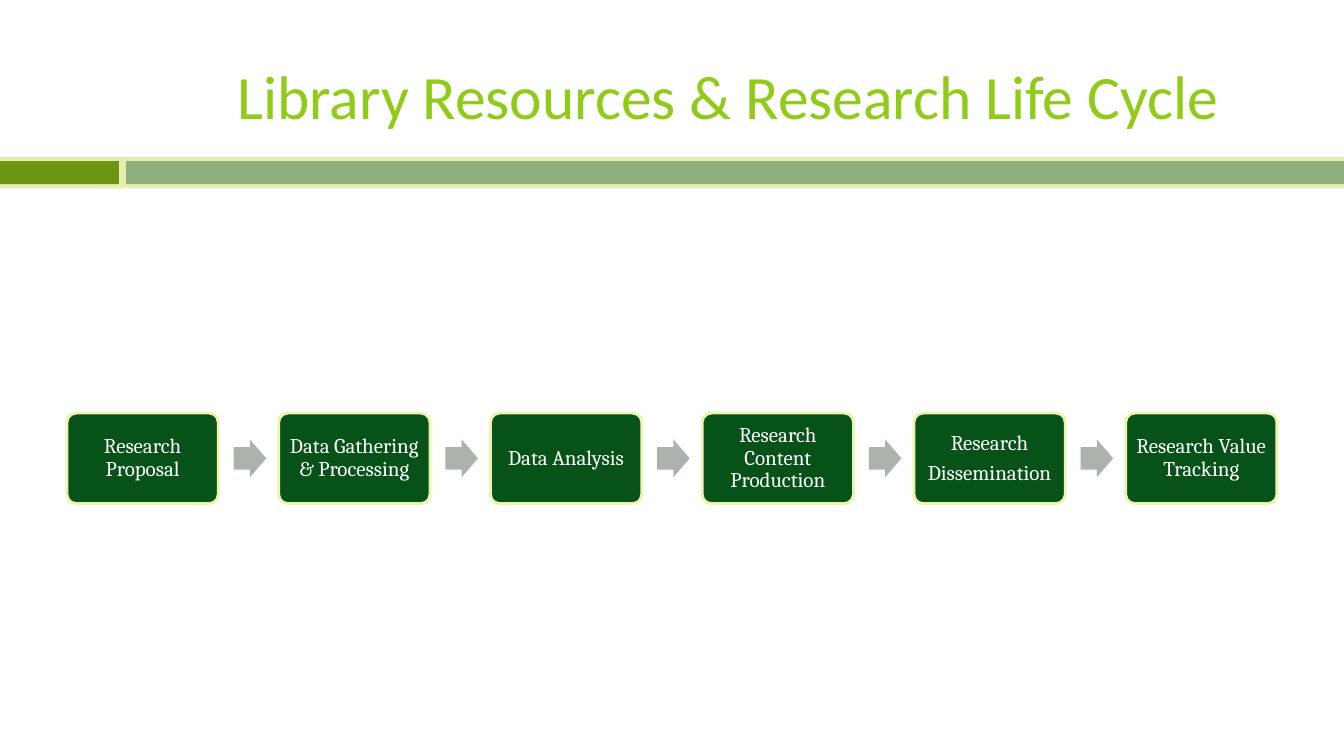
import pptx
import pptx.util
import pptx.dml.color
import pptx.enum.shapes
import pptx.enum.text

Cm, Pt = pptx.util.Cm, pptx.util.Pt
SHAPE = pptx.enum.shapes.MSO_SHAPE

TITLE = "Library Resources & Research Life Cycle"
STAGES = [
    "Research Proposal",
    "Data Gathering & Processing",
    "Data Analysis",
    "Research Content Production",
    "Research\nDissemination",
    "Research Value Tracking",
]
BANDS = [
    (0, 3.96, 33.87, 0.79, "E6EFAE"),
    (0, 4.06, 3.0, 0.58, "6A9611"),
    (3.18, 4.06, 30.69, 0.58, "8EAF7C"),
]
SLIDE_WIDTH, SLIDE_HEIGHT = 33.87, 19.05
MARGIN = 1.69
STAGE_WIDTH, STAGE_HEIGHT = 3.81, 2.28
ARROW_WIDTH, ARROW_HEIGHT = 0.82, 0.95
ARROW_OFFSET = 4.2
FLOW_MIDDLE = 11.55


def color(value):
    return pptx.dml.color.RGBColor.from_string(value)


def add_block(slide, kind, left, top, width, height, fill):
    block = slide.shapes.add_shape(kind, Cm(left), Cm(top), Cm(width), Cm(height))
    block.shadow.inherit = False
    block.fill.solid()
    block.fill.fore_color.rgb = color(fill)
    block.line.fill.background()
    return block


def write(shape, text, size, font, ink):
    frame = shape.text_frame
    frame.word_wrap = True
    frame.vertical_anchor = pptx.enum.text.MSO_ANCHOR.MIDDLE
    frame.text = text
    for paragraph in frame.paragraphs:
        paragraph.alignment = pptx.enum.text.PP_ALIGN.CENTER
        for run in paragraph.runs:
            run.font.size = Pt(size)
            run.font.name = font
            run.font.color.rgb = color(ink)
    return frame


def add_stage(slide, left, text):
    stage = add_block(slide, SHAPE.ROUNDED_RECTANGLE, left, FLOW_MIDDLE - STAGE_HEIGHT / 2,
                      STAGE_WIDTH, STAGE_HEIGHT, "065218")
    stage.adjustments[0] = 0.1
    stage.line.color.rgb = color("EDF3AE")
    stage.line.width = Pt(2)
    frame = write(stage, text, 15, "Cambria", "FFFFFF")
    frame.margin_left = frame.margin_right = Cm(0.15)
    frame.margin_top = frame.margin_bottom = Cm(0.15)
    for paragraph in frame.paragraphs:
        paragraph.line_spacing = 0.9
        paragraph.space_after = Pt(5.25)


def add_arrow(slide, left):
    arrow = add_block(slide, SHAPE.RIGHT_ARROW, left, FLOW_MIDDLE - ARROW_HEIGHT / 2,
                      ARROW_WIDTH, ARROW_HEIGHT, "ABB3AC")
    arrow.adjustments[0] = 0.6
    arrow.adjustments[1] = 0.5


def main():
    deck = pptx.Presentation()
    deck.slide_width, deck.slide_height = Cm(SLIDE_WIDTH), Cm(SLIDE_HEIGHT)
    slide = deck.slides.add_slide(deck.slide_layouts[6])

    for left, top, width, height, fill in BANDS:
        add_block(slide, SHAPE.RECTANGLE, left, top, width, height, fill)

    title = slide.shapes.add_textbox(Cm(3.12), Cm(0.79), Cm(30.48), Cm(3.18))
    write(title, TITLE, 44, "Calibri", "8FCB17")

    step = (SLIDE_WIDTH - 2 * MARGIN - STAGE_WIDTH) / (len(STAGES) - 1)
    for index, text in enumerate(STAGES):
        left = MARGIN + index * step
        add_stage(slide, left, text)
        if index < len(STAGES) - 1:
            add_arrow(slide, left + ARROW_OFFSET)

    deck.save("out.pptx")


if __name__ == "__main__":
    main()
